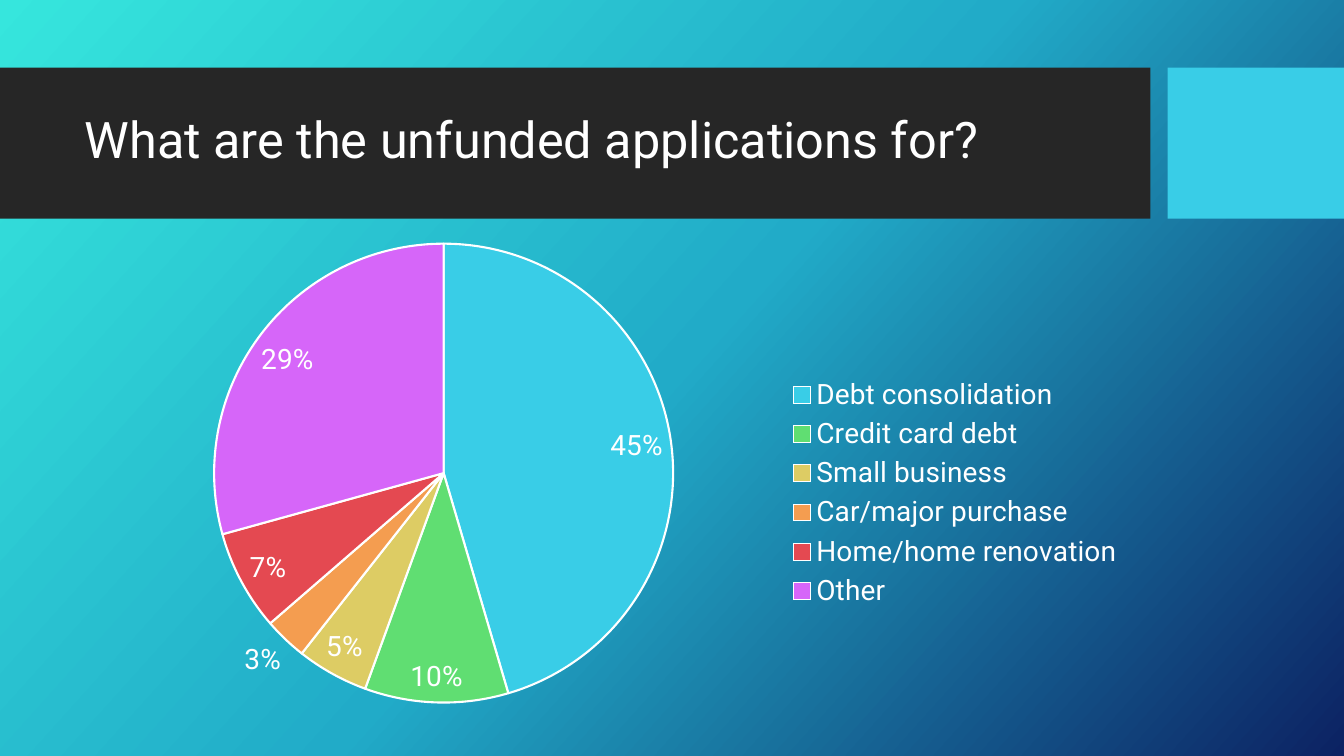
"""Build a slide with a pie chart of the purposes of unfunded applications."""
from copy import deepcopy
from dataclasses import dataclass

from pptx import Presentation
from pptx import util as u
from pptx.chart.data import CategoryChartData
from pptx.dml.color import RGBColor
from pptx.enum import chart as charts, shapes, text

FONT = "Roboto"
WHITE = "FFFFFF"


@dataclass
class Band:
    left: float
    width: float
    color: str


@dataclass
class Purpose:
    name: str
    percent: int
    color: str


BANDS = [Band(0, 11.41, "262626"), Band(11.58, 1.75, "39CDE7")]
BACKGROUND_STOPS = [(0, "36E6DD"), (0.5, "21ABC8"), (1, "0C2263")]
PURPOSES = [
    Purpose("Debt consolidation", 45, "39CDE7"),
    Purpose("Credit card debt", 10, "60DE72"),
    Purpose("Small business", 5, "DDCC64"),
    Purpose("Car/major purchase", 3, "F49D50"),
    Purpose("Home/home renovation", 7, "E44951"),
    Purpose("Other", 29, "D666F9"),
]


def rgb(color: str) -> RGBColor:
    return RGBColor.from_string(color)


def style_font(font, size: float, color: str = WHITE) -> None:
    font.name = FONT
    font.size = u.Pt(size)
    font.color.rgb = rgb(color)


def place(item, left: float, top: float, width: float, height: float) -> None:
    item.left, item.top = u.Inches(left), u.Inches(top)
    item.width, item.height = u.Inches(width), u.Inches(height)


def paint_background(page) -> None:
    fill = page.background.fill
    fill.gradient()
    fill.gradient_angle = 360 - 42
    first = fill.gradient_stops[0]._gs
    first.addnext(deepcopy(first))
    for stop, (position, color) in zip(fill.gradient_stops, BACKGROUND_STOPS):
        stop.position = position
        stop.color.rgb = rgb(color)


def add_band(page, band: Band) -> None:
    box = page.shapes.add_shape(
        shapes.MSO_SHAPE.RECTANGLE,
        u.Inches(band.left), u.Inches(0.67), u.Inches(band.width), u.Inches(1.5))
    box.shadow.inherit = False
    box.fill.solid()
    box.fill.fore_color.rgb = rgb(band.color)
    box.line.fill.background()


def write(box, words: str, *, size: float, color: str = WHITE,
          line_spacing: float = 1.0) -> None:
    frame = box.text_frame
    frame.word_wrap = True
    frame.auto_size = text.MSO_AUTO_SIZE.NONE
    frame.vertical_anchor = text.MSO_ANCHOR.MIDDLE
    para = frame.paragraphs[0]
    para.alignment = text.PP_ALIGN.LEFT
    para.line_spacing = line_spacing
    span = para.add_run()
    span.text = words
    style_font(span.font, size, color)


def add_pie(page, purposes: list[Purpose]) -> None:
    data = CategoryChartData()
    data.categories = [purpose.name for purpose in purposes]
    data.add_series("Series 1", [purpose.percent for purpose in purposes])
    chart = page.shapes.add_chart(
        charts.XL_CHART_TYPE.PIE, u.Inches(0.74), u.Inches(2.28),
        u.Inches(10.51), u.Inches(5.22), data).chart
    style_font(chart.font, 10)
    chart.has_title = False
    chart.has_legend = True
    chart.legend.position = charts.XL_LEGEND_POSITION.RIGHT
    chart.legend.include_in_layout = False
    style_font(chart.legend.font, 20)

    plot = chart.plots[0]
    plot.vary_by_categories = True
    plot.has_data_labels = True
    labels = plot.data_labels
    labels.show_percentage = True
    labels.show_value = False
    labels.number_format = "0%"
    labels.number_format_is_linked = False
    labels.position = charts.XL_LABEL_POSITION.BEST_FIT
    style_font(labels.font, 20)
    for index, purpose in enumerate(purposes):
        piece = plot.series[0].points[index].format
        piece.fill.solid()
        piece.fill.fore_color.rgb = rgb(purpose.color)
        piece.line.color.rgb = rgb(WHITE)
        piece.line.width = u.Pt(1.5)


def main() -> None:
    deck = Presentation()
    deck.slide_width, deck.slide_height = u.Inches(13.33), u.Inches(7.5)
    page = deck.slides.add_slide(deck.slide_layouts.get_by_name("Title Only"))
    paint_background(page)
    for band in BANDS:
        add_band(page, band)
    title = page.shapes.title
    page.shapes._spTree.append(title._element)
    place(title, 0.74, 0.82, 10.51, 1.18)
    write(title, "What are the unfunded applications for?", size=36, line_spacing=0.9)
    add_pie(page, PURPOSES)
    deck.save("out.pptx")


if __name__ == "__main__":
    main()
